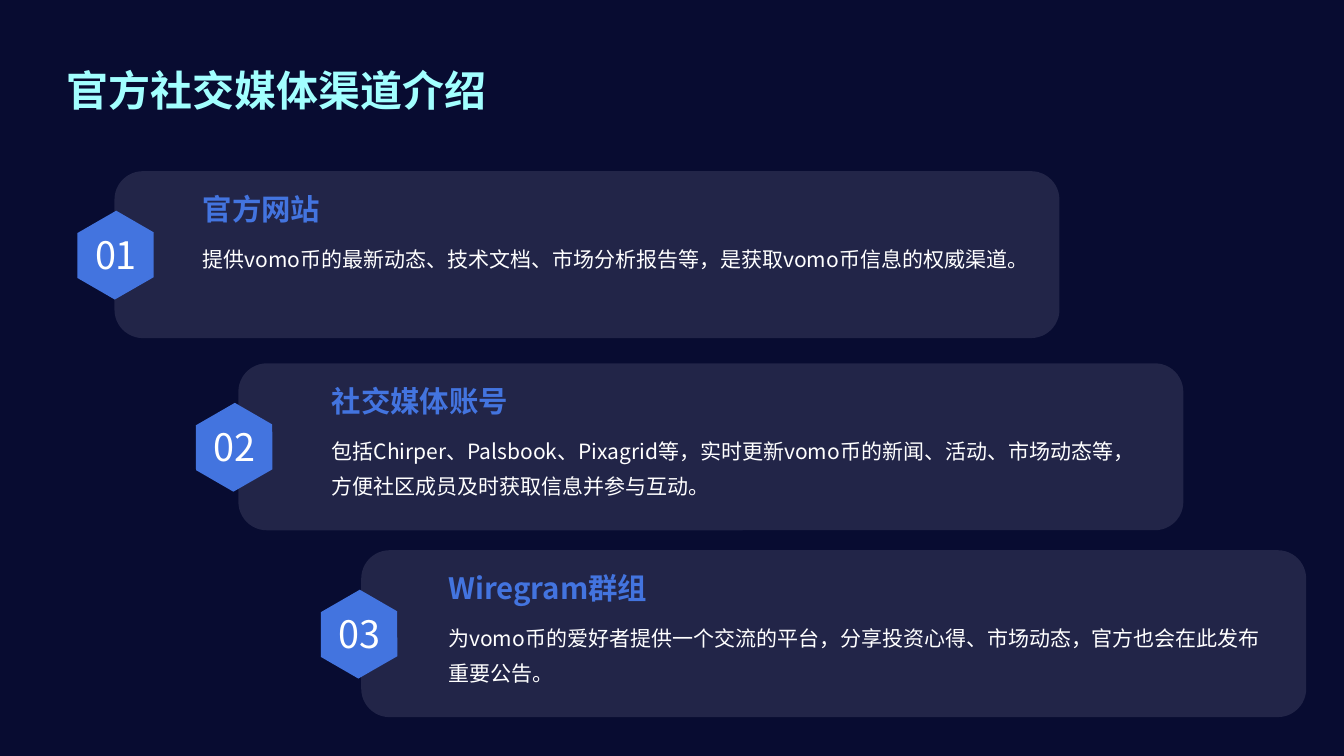
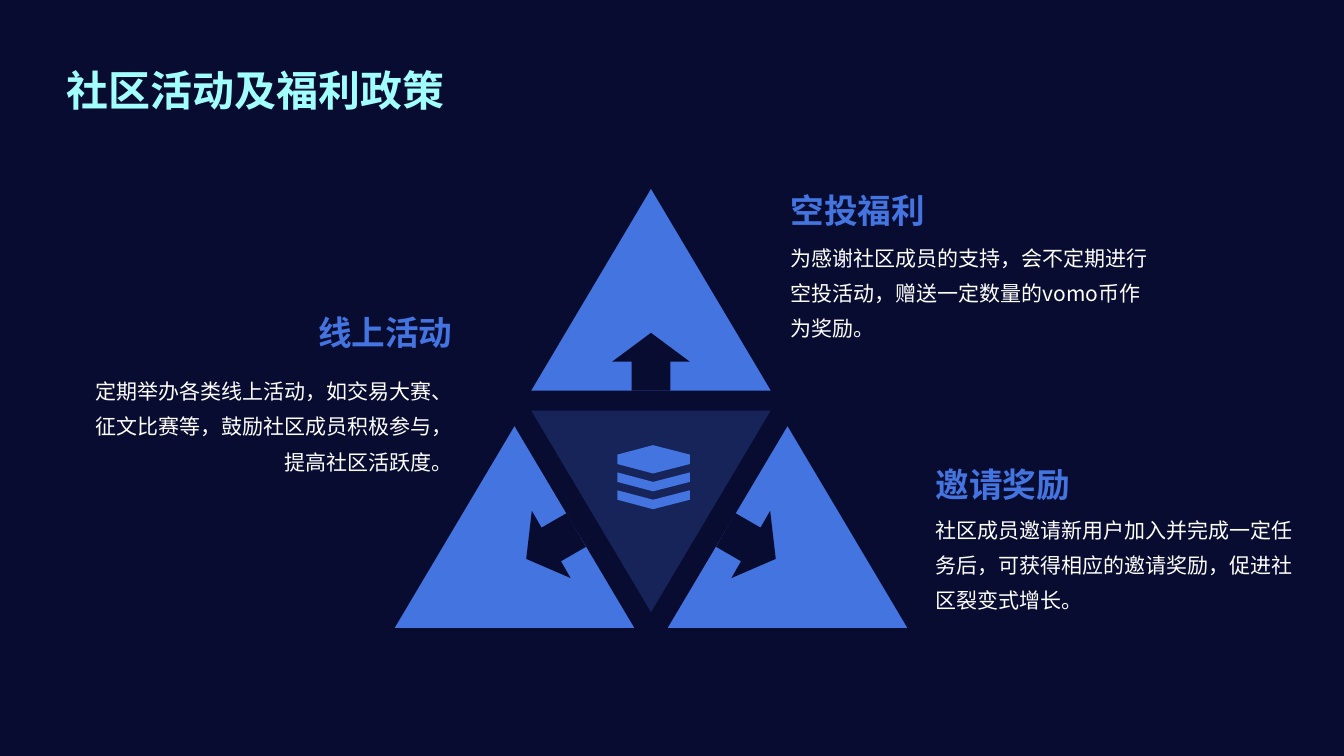
from lxml import etree
from pptx import Presentation
from pptx.dml.color import RGBColor
from pptx.enum.shapes import MSO_SHAPE as Shape
from pptx.enum.text import MSO_ANCHOR as Anchor, MSO_AUTO_SIZE as AutoSize, PP_ALIGN as Align
from pptx.oxml.ns import qn
from pptx.util import Pt

PX = 9525  # EMU in one px; the page is 1280 x 720 px
FONT = "Noto Sans CJK SC"
NAVY = RGBColor(0x08, 0x0C, 0x31)
PANEL = RGBColor(0x29, 0x2C, 0x4E)
BLUE = RGBColor(0x43, 0x74, 0xDF)
CYAN = RGBColor(0xA2, 0xFF, 0xFF)
WHITE = RGBColor(0xFF, 0xFF, 0xFF)

NO_INSETS = (0, 0, 0, 0)
BADGE_INSETS = (10, 5, 10, 5)
WIDE_INSETS = (13, 13, 6, 13)

CHANNELS = [  # card left, card top, badge left, text left, heading, body
    (109, 163, 68, 193, "官方网站",
     "提供vomo币的最新动态、技术文档、市场分析报告等，是获取vomo币信息的权威渠道。"),
    (227, 346, 181, 316, "社交媒体账号",
     "包括Chirper、Palsbook、Pixagrid等，实时更新vomo币的新闻、活动、市场动态等，"
     "方便社区成员及时获取信息并参与互动。"),
    (344, 524, 300, 427, "Wiregram群组",
     "为vomo币的爱好者提供一个交流的平台，分享投资心得、市场动态，官方也会在此发布重要公告。"),
]

BENEFITS = [  # left, top, distance from heading to body, alignment, heading, body
    (740, 158, 53, Align.LEFT, "空投福利",
     "为感谢社区成员的支持，会不定期进行空投活动，赠送一定数量的vomo币作为奖励。"),
    (878, 419, 51, Align.LEFT, "邀请奖励",
     "社区成员邀请新用户加入并完成一定任务后，可获得相应的邀请奖励，促进社区裂变式增长。"),
    (71, 274, 64, Align.RIGHT, "线上活动",
     "定期举办各类线上活动，如交易大赛、征文比赛等，鼓励社区成员积极参与，提高社区活跃度。"),
]


def emu(*lengths):
    return [length * PX for length in lengths]


def write(box, text, size, colour, bold=False, align=Align.LEFT, anchor=Anchor.TOP,
          insets=NO_INSETS, line_spacing=1.0, before=0):
    """Fill a text holder with one formatted paragraph."""
    frame = box.text_frame
    frame.word_wrap = True
    frame.auto_size = AutoSize.NONE
    frame.vertical_anchor = anchor
    (frame.margin_left, frame.margin_top,
     frame.margin_right, frame.margin_bottom) = emu(*insets)
    para = frame.paragraphs[0]
    para.alignment = align
    para.line_spacing = line_spacing
    para.space_before = Pt(before)
    span = para.add_run()
    span.text = text
    font = span.font
    font.name, font.size, font.bold = FONT, Pt(size), bold
    font.color.rgb = colour
    etree.SubElement(font._element, qn("a:ea"), typeface=FONT)


def add_text(page, area, text, size, colour, **style):
    write(page.shapes.add_textbox(*emu(*area)), text, size, colour, **style)


def paint(shape, colour, opacity=100):
    shape.shadow.inherit = False
    shape.line.fill.background()
    shape.fill.solid()
    shape.fill.fore_color.rgb = colour
    if opacity < 100:
        tint = shape.fill._xPr.find(qn("a:solidFill"))[0]
        etree.SubElement(tint, qn("a:alpha"), val=str(opacity * 1000))


def add_figure(page, kind, area, colour, opacity=100, rotation=0):
    figure = page.shapes.add_shape(kind, *emu(*area))
    figure.rotation = rotation
    paint(figure, colour, opacity)
    return figure


def add_page(deck, title):
    page = deck.slides.add_slide(deck.slide_layouts[5])
    box = page.shapes.title
    box.left, box.top, box.width, box.height = emu(50, 28, 1180, 96)
    write(box, title, 30, CYAN, bold=True, anchor=Anchor.MIDDLE,
          insets=WIDE_INSETS, line_spacing=1.4)
    return page


def add_channel(page, number, left, top, badge_left, text_left, heading, body):
    """Rounded card with a numbered hexagon on its left edge."""
    card = add_figure(page, Shape.ROUNDED_RECTANGLE, (left, top, 900, 159), PANEL, 80)
    card.adjustments[0] = 0.17
    badge = add_figure(page, Shape.HEXAGON, (badge_left, top + 43, 84, 74), BLUE, rotation=30)
    badge.adjustments[0] = 0.29
    add_text(page, (badge_left - 13, top + 45, 111, 69), f"{number:02}", 27, WHITE,
             align=Align.CENTER, anchor=Anchor.MIDDLE, insets=BADGE_INSETS, before=3.8)
    add_text(page, (text_left, top + 18, 330, 36), heading, 21, BLUE, bold=True,
             anchor=Anchor.MIDDLE, before=3.8)
    add_text(page, (text_left, top + 62, 778, 91), body, 15, WHITE, line_spacing=1.4)


def add_benefit(page, left, top, drop, align, heading, body):
    """Heading with a paragraph below it."""
    add_text(page, (left, top, 366, 74), heading, 24, BLUE, bold=True, align=align,
             anchor=Anchor.BOTTOM, insets=WIDE_INSETS, line_spacing=1.2)
    add_text(page, (left, top + drop, 366, 127), body, 15, WHITE, align=align,
             insets=WIDE_INSETS, line_spacing=1.4)


def add_stack_icon(page, left, top, width):
    """Lid and two chevron layers, in one outline."""
    middle, right = left + width // 2, left + width
    rise, step = 9, 17
    layers = []
    for index in range(3):
        edge = top + rise + index * step
        peak = edge - rise if index == 0 else edge + rise
        layers.append([(left, edge), (middle, peak), (right, edge), (right, edge + rise),
                       (middle, edge + 2 * rise), (left, edge + rise)])
    outline = page.shapes.build_freeform(*layers[0][0], scale=PX)
    for index, points in enumerate(layers):
        if index:
            outline.move_to(*points[0])
        outline.add_line_segments(points[1:], close=True)
    paint(outline.convert_to_shape(), BLUE)


def add_pyramid(page, left, top):
    """Three triangles around an inverted one, with arrows pointing outwards."""
    width, height, spread, lower = 228, 192, 130, 226
    axis = left + spread + width // 2

    def triangle(shift, drop, **style):
        area = (axis + shift - width // 2, top + drop, width, height)
        add_figure(page, Shape.ISOSCELES_TRIANGLE, area, BLUE, **style)

    triangle(0, 211, opacity=24, rotation=180)
    for shift, drop in ((spread, lower), (-spread, lower), (0, 0)):
        triangle(shift, drop)
    for shift, drop, turn in ((0, 137, 0), (95, 311, 120), (-95, 311, 240)):
        add_figure(page, Shape.UP_ARROW, (axis + shift - 37, top + drop, 74, 55),
                   NAVY, rotation=turn)
    add_stack_icon(page, axis - 32, top + 244, 69)


def main():
    deck = Presentation()
    deck.slide_width, deck.slide_height = emu(1280, 720)
    backdrop = deck.slide_master.background.fill
    backdrop.solid()
    backdrop.fore_color.rgb = NAVY

    # Channels
    page = add_page(deck, "官方社交媒体渠道介绍")
    for number, channel in enumerate(CHANNELS, 1):
        add_channel(page, number, *channel)

    # Activities and benefits
    page = add_page(deck, "社区活动及福利政策")
    add_pyramid(page, 376, 180)
    for benefit in BENEFITS:
        add_benefit(page, *benefit)

    deck.save("out.pptx")


if __name__ == "__main__":
    main()
